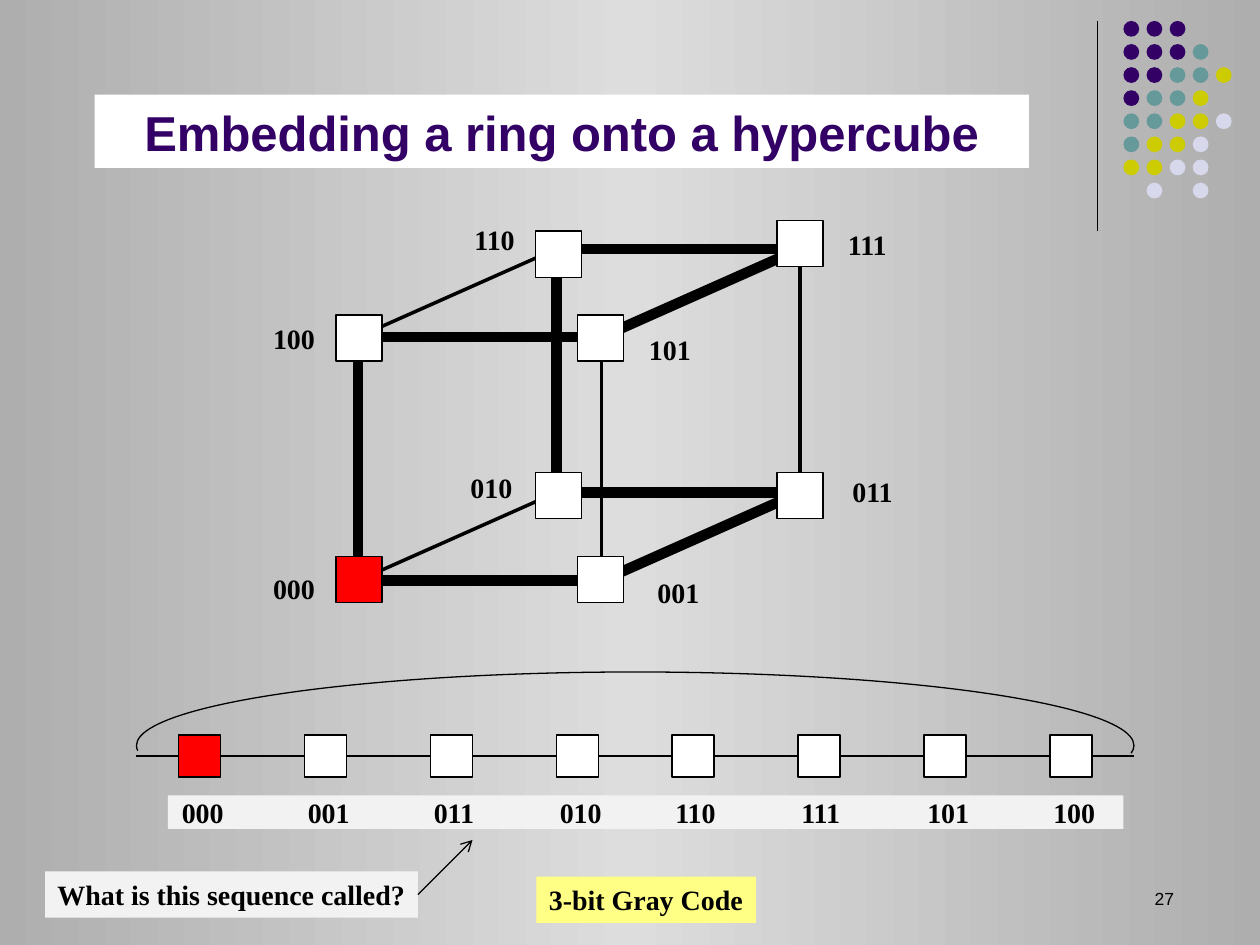
from itertools import combinations

from lxml.etree import SubElement
from copy import deepcopy
from pptx import Presentation
from pptx.dml.color import RGBColor
from pptx.enum.shapes import MSO_CONNECTOR, MSO_SHAPE
from pptx.enum.text import MSO_ANCHOR, PP_ALIGN
from pptx.oxml.ns import qn
from pptx.util import Inches, Pt

BLACK = RGBColor(0x00, 0x00, 0x00)
WHITE = RGBColor(0xFF, 0xFF, 0xFF)
RED = RGBColor(0xFF, 0x00, 0x00)
PURPLE = RGBColor(0x33, 0x00, 0x66)
TEAL = RGBColor(0x66, 0x99, 0x99)
OLIVE = RGBColor(0xCC, 0xCC, 0x00)
LILAC = RGBColor(0xD8, 0xD8, 0xEC)
PALE = RGBColor(0xF2, 0xF2, 0xF2)
YELLOW = RGBColor(0xFF, 0xFF, 0x85)
EDGE_GRAY = RGBColor(0xAE, 0xAE, 0xAE)
MID_GRAY = RGBColor(0xDD, 0xDD, 0xDD)

SERIF, SANS = "Times New Roman", "Arial"
GRAY_CODE = ["000", "001", "011", "010", "110", "111", "101", "100"]
DOT_ROWS = ["PPP", "PPPT", "PPTTO", "PTTO", "TTOOL", "TOOL", "OOLL", " L L"]
DOT_COLORS = {"P": PURPLE, "T": TEAL, "O": OLIVE, "L": LILAC}

# Cube parts as (column, row) from the cube's top left corner
CUBE_NODES = {"000": (0, 32), "001": (23, 32), "010": (19, 24), "011": (42, 24),
              "100": (0, 9), "101": (23, 9), "110": (19, 1), "111": (42, 0)}
CUBE_LABELS = {"000": (-6, 33.4), "001": (30.6, 33.8), "010": (12.8, 23.8),
               "011": (49.1, 24.2), "100": (-6, 9.6), "101": (29.8, 10.7),
               "110": (13.1, 0.2), "111": (48.6, 0.7)}


def cells(*counts):
    """Turn grid counts into lengths; the slide is 120 columns by 90 rows."""
    return [Inches(n / 12) for n in counts]


def add_shape(shapes, kind, box, fill=None, line=None):
    sp = shapes.add_shape(kind, *cells(*box))
    sp.shadow.inherit = False
    if fill is None:
        sp.fill.background()
    else:
        sp.fill.solid()
        sp.fill.fore_color.rgb = fill
    if line is None:
        sp.line.fill.background()
    else:
        sp.line.color.rgb = BLACK
        sp.line.width = Pt(line)
    return sp


def add_line(s, start, end, width):
    line = s.shapes.add_connector(MSO_CONNECTOR.STRAIGHT, *cells(*start, *end))
    line.line.color.rgb = BLACK
    line.line.width = Pt(width)
    SubElement(line.element.spPr, qn("a:effectLst"))
    return line


def format_text(tf, text, size=16, font=SERIF, color=BLACK, bold=True,
                align=PP_ALIGN.LEFT, anchor=MSO_ANCHOR.TOP, wrap=False):
    tf.word_wrap = wrap
    tf.vertical_anchor = anchor
    p = tf.paragraphs[0]
    p.alignment = align
    r = p.add_run()
    r.text = text
    r.font.size, r.font.name, r.font.bold = Pt(size), font, bold
    r.font.color.rgb = color
    return p


def add_text(s, box, text, fill=None, margins=(0.1, 0.05), **fmt):
    sp = s.shapes.add_textbox(*cells(*box))
    if fill is not None:
        sp.fill.solid()
        sp.fill.fore_color.rgb = fill
    tf = sp.text_frame
    tf.margin_left = tf.margin_right = Inches(margins[0])
    tf.margin_top = tf.margin_bottom = Inches(margins[1])
    format_text(tf, text, **fmt)
    return sp


def set_background(s):
    fill = s.background.fill
    fill.gradient()
    fill.gradient_angle = 0
    stops = s.element.xpath(".//a:gsLst")[0]
    stops.insert(1, deepcopy(stops[0]))
    for stop, position, color in zip(fill.gradient_stops, (0, 0.5, 1),
                                     (EDGE_GRAY, MID_GRAY, EDGE_GRAY)):
        stop.position = position
        stop.color.rgb = color


def set_title(s, box, text):
    title = s.shapes.title
    title.left, title.top, title.width, title.height = cells(*box)
    title.fill.solid()
    title.fill.fore_color.rgb = WHITE
    format_text(title.text_frame, text, size=28, font=SANS, color=PURPLE,
                align=PP_ALIGN.CENTER, anchor=MSO_ANCHOR.BOTTOM, wrap=True)


def add_corner_dots(s, left, top, pitch=2.2, size=1.5):
    add_line(s, (left - 2.5, top), (left - 2.5, top + 20), 0.75)
    group = s.shapes.add_group_shape()
    for row, codes in enumerate(DOT_ROWS):
        for col, code in enumerate(codes):
            if code in DOT_COLORS:
                box = (left + col * pitch, top + row * pitch, size, size)
                add_shape(group.shapes, MSO_SHAPE.OVAL, box, DOT_COLORS[code])


def node_fill(code):
    return RED if code == "000" else WHITE


def add_hypercube(s, left, top, node=4.4):
    """Bits of a code stand for up, back and right; ring edges are thick."""
    def corner(code):
        up, back, right = map(int, code)
        return (left + 2.1 + 23.2 * right + 18.9 * back,
                top + 34.3 - 23.2 * up - 8.4 * back)

    for (i, a), (j, b) in combinations(enumerate(GRAY_CODE), 2):
        if sum(x != y for x, y in zip(a, b)) == 1:
            on_ring = j - i in (1, len(GRAY_CODE) - 1)
            add_line(s, corner(a), corner(b), 6 if on_ring else 0)
    for code, (col, row) in CUBE_NODES.items():
        add_shape(s.shapes, MSO_SHAPE.RECTANGLE,
                  (left + col, top + row, node, node), node_fill(code), 0)
    for code, (col, row) in CUBE_LABELS.items():
        add_text(s, (left + col, top + row, 4, 3.2), code,
                 margins=(0, 0), align=PP_ALIGN.CENTER)


def add_ring(s, left, top, width):
    add_line(s, (left, top + 8), (left + width, top + 8), 1.39)
    arc = add_shape(s.shapes, MSO_SHAPE.ARC, (left, top, width, 14), line=0.75)
    # Angles count in 60000ths of a degree, adjustments in 100000ths
    arc.adjustments[0], arc.adjustments[1] = 179.4 * 0.6, 0.9 * 0.6

    columns = [4 + 12 * i - (i > 3) for i in range(len(GRAY_CODE))]
    for code, col in zip(GRAY_CODE, columns):
        add_shape(s.shapes, MSO_SHAPE.RECTANGLE,
                  (left + col, top + 6, 4, 4), node_fill(code), 1)

    strip = add_text(s, (left + 3, top + 11.75, width - 4, 3.2),
                     "\t".join(GRAY_CODE), fill=PALE, margins=(0, 0), wrap=True)
    tf = strip.text_frame
    tf.margin_left = Inches(0.11)
    tabs = SubElement(tf.paragraphs[0]._p.get_or_add_pPr(), qn("a:tabLst"))
    for col in columns[1:]:
        SubElement(tabs, qn("a:tab"), pos=str(cells(col - columns[0])[0]), algn="l")


def add_question(s, left, top):
    question = add_text(s, (left, top, 35.5, 4.4),
                        "What is this sequence called?", fill=PALE)
    arrow = add_line(s, (left + 35.5, top + 2.2), (45, 80), 0.75)
    arrow.begin_connect(question, 3)
    SubElement(arrow.line._get_or_add_ln(), qn("a:tailEnd"), type="arrow")
    add_text(s, (left + 46.8, top + 0.5, 20.9, 4.4), "3-bit Gray Code", fill=YELLOW)


def main():
    prs = Presentation()
    prs.slide_width, prs.slide_height = cells(120, 90)
    s = prs.slides.add_slide(prs.slide_layouts[5])
    set_background(s)
    add_corner_dots(s, 107, 2)
    set_title(s, (9, 9, 89, 7), "Embedding a ring onto a hypercube")
    add_hypercube(s, 32, 21)
    add_ring(s, 13, 64, 95)
    add_question(s, 4.3, 83)
    add_text(s, (86, 84, 27, 4), "27", size=10, font=SANS, bold=False,
             align=PP_ALIGN.RIGHT, wrap=True)
    prs.save("out.pptx")


if __name__ == "__main__":
    main()
